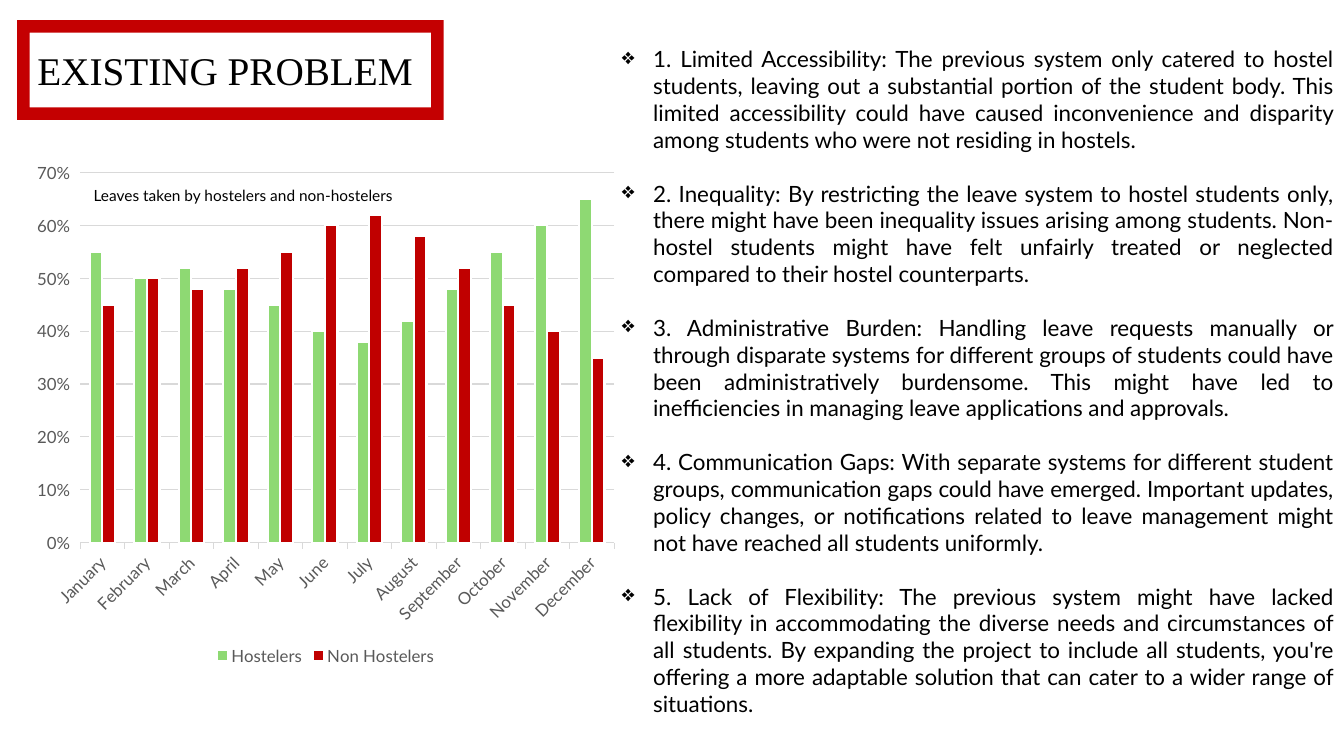
from lxml.etree import SubElement
from pptx import Presentation
from pptx.chart.data import CategoryChartData as Data
from pptx.dml.color import RGBColor as RGB
from pptx.enum.chart import XL_CHART_TYPE as Kind, XL_LEGEND_POSITION as Spot
from pptx.enum.chart import XL_TICK_MARK as Tick
from pptx.enum.shapes import MSO_SHAPE as Shape
from pptx.enum.text import PP_ALIGN as Align
from pptx.oxml.ns import qn
from pptx.util import Pt

SCALE = 9144
BLACK, GREY, PALE, WHITE = "000000", "595959", "D9D9D9", "FFFFFF"

POINTS = [
    "1. Limited Accessibility: The previous system only catered to hostel students, leaving out a substantial portion of the student body. This limited accessibility could have caused inconvenience and disparity among students who were not residing in hostels.",
    "2. Inequality: By restricting the leave system to hostel students only, there might have been inequality issues arising among students. Non-hostel students might have felt unfairly treated or neglected compared to their hostel counterparts.",
    "3. Administrative Burden: Handling leave requests manually or through disparate systems for different groups of students could have been administratively burdensome. This might have led to inefficiencies in managing leave applications and approvals.",
    "4. Communication Gaps: With separate systems for different student groups, communication gaps could have emerged. Important updates, policy changes, or notifications related to leave management might not have reached all students uniformly.",
    "5. Lack of Flexibility: The previous system might have lacked flexibility in accommodating the diverse needs and circumstances of all students. By expanding the project to include all students, you're offering a more adaptable solution that can cater to a wider range of situations.",
]
MONTHS = ["January", "February", "March", "April", "May", "June", "July",
          "August", "September", "October", "November", "December"]
LEAVES = [
    ("Hostelers", "8ED973",
     [0.55, 0.5, 0.52, 0.48, 0.45, 0.4, 0.38, 0.42, 0.48, 0.55, 0.6, 0.65]),
    ("Non Hostelers", "C00000",
     [0.45, 0.5, 0.48, 0.52, 0.55, 0.6, 0.62, 0.58, 0.52, 0.45, 0.4, 0.35]),
]


def px(*nums):
    return [num * SCALE for num in nums]


def apply(item, **form):
    for key, val in form.items():
        setattr(item, key, val)


def paint(fill, hue):
    fill.solid()
    fill.fore_color.rgb = RGB.from_string(hue)


class Deck:
    """Hold the text style and the current slide."""

    def __init__(self, wide, high):
        self.face = "Lato"
        self.show = Presentation()
        self.show.slide_width, self.show.slide_height = px(wide, high)
        self.slide = self.show.slides.add_slide(self.show.slide_layouts[6])
        self.shapes = self.slide.shapes
        paint(self.slide.background.fill, WHITE)

    def style(self, font, size, hue=BLACK, face=None):
        apply(font, size=Pt(size), name=face or self.face)
        paint(font.fill, hue)

    def rule(self, line, hue, width):
        paint(line.fill, hue)
        line.width = Pt(width)

    def frame(self, box, hue):
        shape = self.shapes.add_shape(Shape.FRAME, *px(*box))
        shape.shadow.inherit = False
        paint(shape.fill, hue)
        shape.line.fill.background()

    def text(self, box, lines, size, face=None, mark=None, top=5, gap=0, **form):
        body = self.shapes.add_textbox(*px(*box)).text_frame
        apply(body, word_wrap=True, margin_top=top * SCALE)
        for num, line in enumerate(lines):
            para = body.add_paragraph() if num else body.paragraphs[0]
            para.text = line
            apply(para, space_before=Pt(gap if num else 0), **form)
            if mark:
                props = para._p.get_or_add_pPr()
                props.set("marL", str(31 * SCALE))
                props.set("indent", str(-31 * SCALE))
                SubElement(props, qn("a:buChar")).set("char", mark)
            self.style(para.runs[0].font, size, face=face)

    def chart(self, box, cats, rows):
        data = Data(number_format="0%")
        data.categories = cats
        for name, _, vals in rows:
            data.add_series(name, vals)
        chart = self.shapes.add_chart(Kind.COLUMN_CLUSTERED, *px(*box), data).chart
        self.style(chart.font, 10)
        apply(chart, has_title=False, has_legend=True)
        apply(chart.legend, position=Spot.BOTTOM, include_in_layout=False)
        self.style(chart.legend.font, 12, GREY)
        plot = chart.plots[0]
        apply(plot, gap_width=150, overlap=0, vary_by_categories=False)
        for bars, (_, hue, _) in zip(plot.series, rows):
            bars.invert_if_negative = False
            paint(bars.format.fill, hue)
            self.rule(bars.format.line, WHITE, 1.5)
        base, side = chart.category_axis, chart.value_axis
        for axis in (base, side):
            apply(axis, major_tick_mark=Tick.OUTSIDE, minor_tick_mark=Tick.NONE)
            self.style(axis.tick_labels.font, 12, GREY)
        self.rule(base.format.line, PALE, 0.75)
        base._element.find(".//" + qn("a:bodyPr")).set("rot", "-2700000")
        apply(side, minimum_scale=0, maximum_scale=0.7, major_unit=0.1,
              has_major_gridlines=True)
        apply(side.tick_labels, number_format="0%", number_format_is_linked=False)
        side.format.line.fill.background()
        self.rule(side.major_gridlines.format.line, PALE, 0.75)


def main():
    deck = Deck(1333, 750)
    deck.frame((17, 20, 423, 99), "C40001")
    deck.text((0, 41, 456, 57), ["EXISTING PROBLEM "], 28,
              face="Times New Roman", alignment=Align.CENTER)
    deck.text((607, 13, 726, 737), POINTS, 16, mark="❖", top=32, gap=19.2,
              alignment=Align.JUSTIFY)
    deck.chart((25, 151, 596, 513), MONTHS, LEAVES)
    deck.text((83, 182, 1158, 494), ["Leaves taken by hostelers and non-hostelers"],
              11, line_spacing=0.9)
    deck.show.save("out.pptx")


if __name__ == "__main__":
    main()
